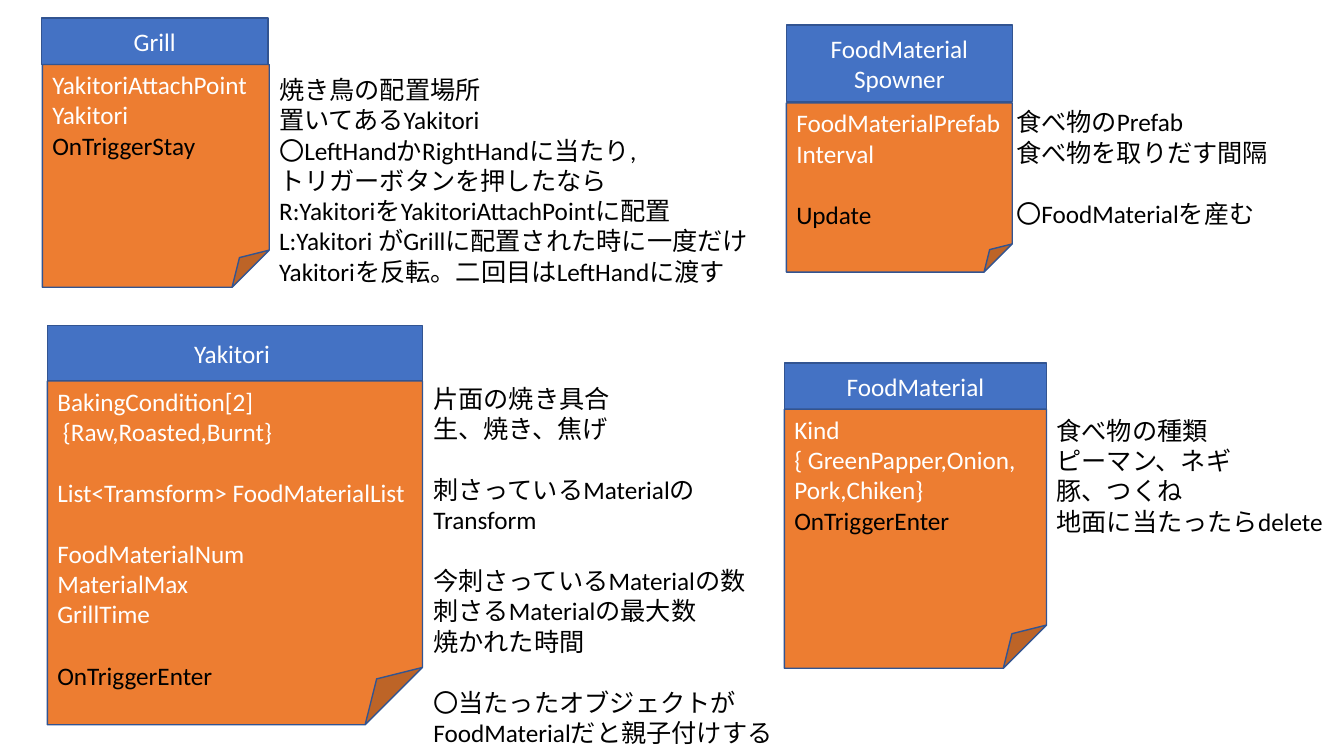
from dataclasses import dataclass

from pptx import Presentation
from pptx.dml.color import RGBColor
from pptx.enum.shapes import MSO_SHAPE
from pptx.enum.text import MSO_ANCHOR, MSO_AUTO_SIZE, PP_ALIGN
from pptx.util import Inches, Pt

RECTANGLE = MSO_SHAPE.RECTANGLE
FOLDED_CORNER = MSO_SHAPE.FOLDED_CORNER
TOP, MIDDLE = MSO_ANCHOR.TOP, MSO_ANCHOR.MIDDLE
LEFT, CENTER = PP_ALIGN.LEFT, PP_ALIGN.CENTER
GROW = MSO_AUTO_SIZE.SHAPE_TO_FIT_TEXT


@dataclass(frozen=True)
class Theme:
    font: str = "Calibri"
    size: Pt = Pt(18)
    gap: Pt = Pt(22)
    border_width: Pt = Pt(1)
    header: RGBColor = RGBColor(0x44, 0x72, 0xC4)
    body: RGBColor = RGBColor(0xED, 0x7D, 0x31)
    border: RGBColor = RGBColor(0x32, 0x54, 0x91)
    light: RGBColor = RGBColor(0xFF, 0xFF, 0xFF)
    dark: RGBColor = RGBColor(0, 0, 0)


THEME = Theme()

CLASSES = [
    dict(
        header=(0.47, 3.23, 3.72, 0.55),
        body=(0.47, 3.78, 3.72, 3.41),
        title=["Yakitori\u00a0"],
        fields=[
            ["BakingCondition[2]", "\u00a0{Raw,Roasted,Burnt}"],
            ["List<Tramsform> FoodMaterialList"],
            ["FoodMaterialNum", "MaterialMax", "GrillTime"],
        ],
        method="OnTriggerEnter",
        method_apart=True,
    ),
    dict(
        header=(0.41, 0.18, 2.25, 0.46),
        body=(0.42, 0.64, 2.25, 2.21),
        title=["Grill"],
        fields=[["YakitoriAttachPoint", "Yakitori"]],
        method="OnTriggerStay",
        method_apart=False,
    ),
    dict(
        header=(7.78, 3.6, 2.6, 0.47),
        body=(7.78, 4.06, 2.6, 2.57),
        title=["FoodMaterial"],
        fields=[["Kind", "{ GreenPapper,Onion,", "Pork,Chiken}"]],
        method="OnTriggerEnter",
        method_apart=False,
    ),
    dict(
        header=(7.8, 0.25, 2.24, 0.76),
        body=(7.8, 1.02, 2.24, 1.68),
        title=["FoodMaterial", "Spowner"],
        fields=[["FoodMaterialPrefab", "Interval"]],
        method="Update\u00a0",
        method_apart=True,
    ),
]

EXPLANATIONS = [
    ((4.2, 3.75, 3.73, 3.43), [
        ["片面の焼き具合", "生、焼き、焦げ"],
        ["刺さっているMaterialのTransform"],
        ["今刺さっているMaterialの数", "刺さるMaterialの最大数", "焼かれた時間"],
        ["〇当たったオブジェクトがFoodMaterialだと親子付けする"],
    ]),
    ((2.67, 0.69, 4.97, 2.22), [[
        "焼き鳥の配置場所",
        "置いてあるYakitori",
        "〇LeftHandかRightHandに当たり,",
        "トリガーボタンを押したなら",
        "R:YakitoriをYakitoriAttachPointに配置",
        "L:Yakitori がGrillに配置された時に一度だけYakitoriを反転。"
        "二回目はLeftHandに渡す",
    ]]),
    ((9.98, 1.01, 3, 1.31), [
        ["食べ物のPrefab", "食べ物を取りだす間隔"],
        ["〇FoodMaterialを産む"],
    ]),
    ((10.38, 4.07, 3, 1.31), [
        ["食べ物の種類", "ピーマン、ネギ", "豚、つくね", "地面に当たったらdelete"],
    ]),
]


def add_line(frame, text, color, align=LEFT, apart=False):
    first = frame.paragraphs[0]
    paragraph = frame.add_paragraph() if first.runs else first
    paragraph.alignment = align
    if apart:
        paragraph.space_before = THEME.gap
    run = paragraph.add_run()
    run.text = text
    run.font.name = THEME.font
    run.font.size = THEME.size
    run.font.color.rgb = color


def add_groups(frame, groups, color, align=LEFT):
    for group_index, group in enumerate(groups):
        for line_index, text in enumerate(group):
            apart = group_index > 0 and line_index == 0
            add_line(frame, text, color, align, apart)


def add_panel(slide, preset, box, fill, anchor):
    panel = slide.shapes.add_shape(preset, *map(Inches, box))
    panel.shadow.inherit = False
    panel.fill.solid()
    panel.fill.fore_color.rgb = fill
    panel.line.color.rgb = THEME.border
    panel.line.width = THEME.border_width
    panel.text_frame.word_wrap = True
    panel.text_frame.vertical_anchor = anchor
    return panel.text_frame


def add_class(slide, header, body, title, fields, method, method_apart):
    heading = add_panel(slide, RECTANGLE, header, THEME.header, MIDDLE)
    add_groups(heading, [title], THEME.light, CENTER)
    members = add_panel(slide, FOLDED_CORNER, body, THEME.body, TOP)
    add_groups(members, fields, THEME.light)
    add_line(members, method, THEME.dark, apart=method_apart)


def add_explanation(slide, box, groups):
    frame = slide.shapes.add_textbox(*map(Inches, box)).text_frame
    frame.word_wrap = True
    frame.auto_size = GROW
    add_groups(frame, groups, THEME.dark)


def main():
    deck = Presentation()
    deck.slide_width = Inches(13.33)
    deck.slide_height = Inches(7.5)
    slide = deck.slides.add_slide(deck.slide_layouts[6])
    for class_note in CLASSES:
        add_class(slide, **class_note)
    for box, groups in EXPLANATIONS:
        add_explanation(slide, box, groups)
    deck.save("out.pptx")


main()
